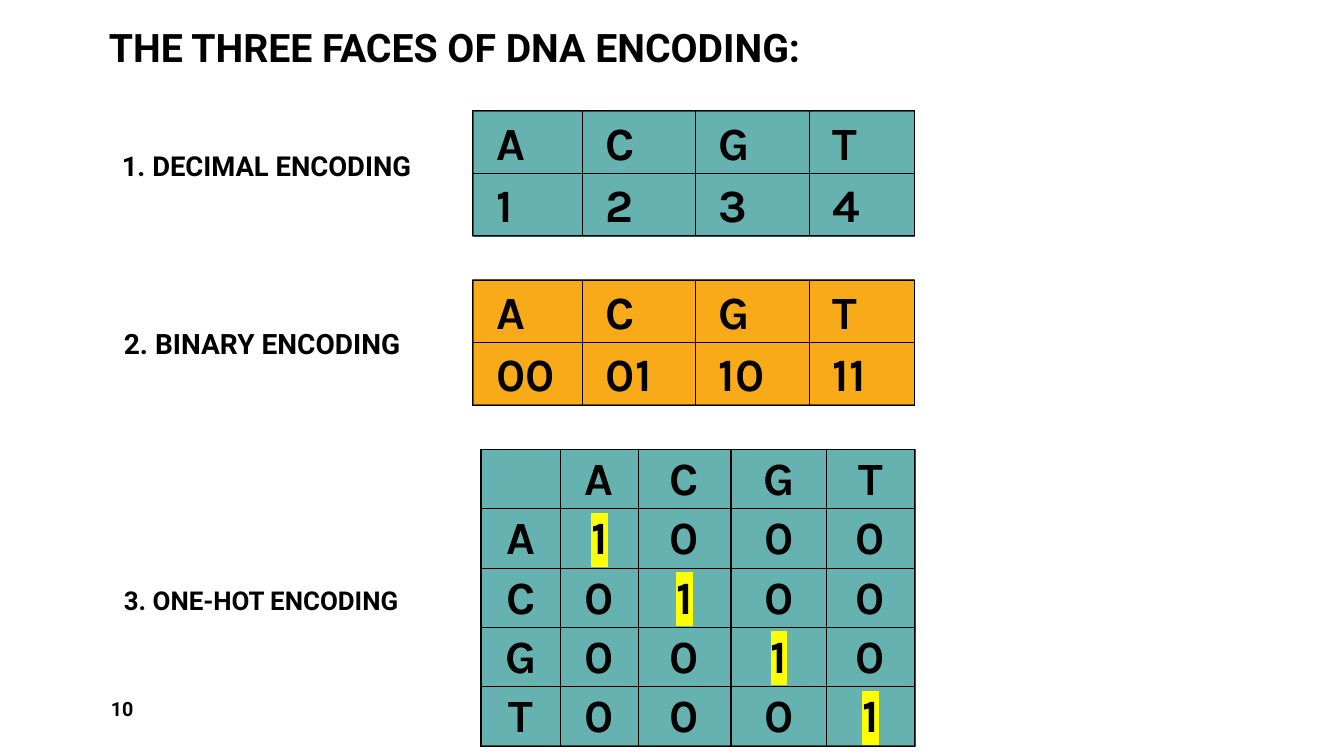
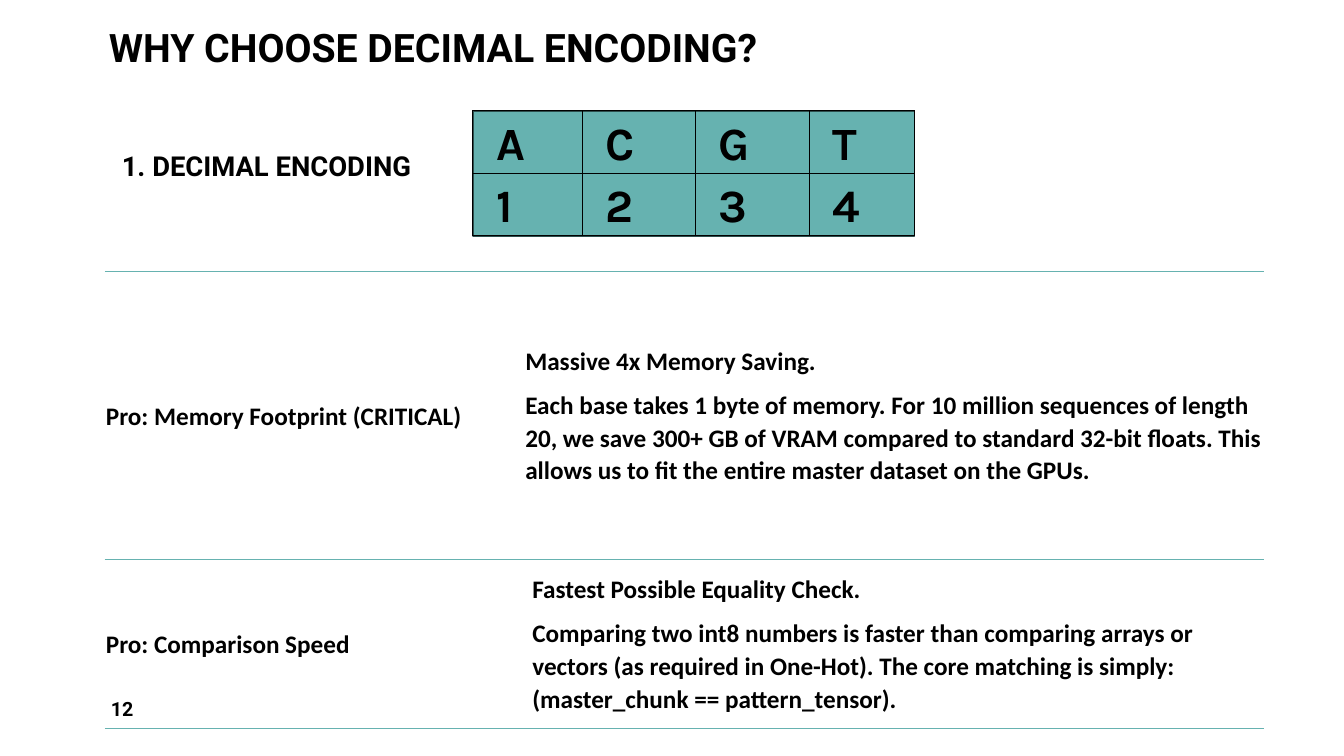
"""Build two slides about numeric encodings of DNA bases."""
from dataclasses import dataclass
from typing import Optional

import lxml.etree
import pptx
import pptx.dml.color
import pptx.enum.shapes
import pptx.enum.text
import pptx.oxml.ns
import pptx.presentation
import pptx.shapes.autoshape
import pptx.slide
import pptx.table
import pptx.text.text
import pptx.util

Inches = pptx.util.Inches
Pt = pptx.util.Pt
Align = pptx.enum.text.PP_ALIGN
Anchor = pptx.enum.text.MSO_ANCHOR

BLACK = "000000"
TEAL, TEAL_EDGE = "66B2B0", "2D4E4D"
ORANGE, ORANGE_EDGE = "F9AA19", "6D4B0B"
YELLOW = "FFFF00"
BASES = ["A", "C", "G", "T"]


@dataclass(frozen=True)
class Box:
    """A rectangle in inches."""
    left: float
    top: float
    width: float
    height: float

    def lengths(self) -> tuple[int, ...]:
        """Return left, top, width and height as lengths."""
        return tuple(Inches(n) for n in (self.left, self.top, self.width, self.height))


@dataclass(frozen=True)
class TextStyle:
    """Font and paragraph settings."""
    font: str
    size: float
    line_spacing: float = 1.0
    space_after: float = 0
    align: Align = Align.LEFT


@dataclass(frozen=True)
class TableStyle:
    """Cell settings: margins run left, top, right, bottom and borders L, R, T, B."""
    text: TextStyle
    margins: tuple[float, ...]
    borders: tuple[Optional[str], ...]
    anchor: Anchor = Anchor.TOP


@dataclass(frozen=True)
class Label:
    """The name of an encoding and where it stands."""
    text: str
    left: float
    top: float
    style: TextStyle


@dataclass(frozen=True)
class CodeTable:
    """A bordered table of codes on a coloured panel."""
    box: Box
    columns: list[float]
    row_height: float
    rows: list[list[str]]
    style: TableStyle
    fill: str = TEAL
    edge: str = TEAL_EDGE
    marked: str = ""


@dataclass(frozen=True)
class Reason:
    """An advantage and its explanation."""
    box: Box
    name_width: float
    name: str
    explanation: str


TITLE_BOX = Box(0.98, 0.07, 11.38, 0.68)
NUMBER_BOX = Box(1, 6.83, 2.92, 0.4)
TITLE_STYLE = TextStyle("Roboto", 28, 0.9)
NUMBER_STYLE = TextStyle("Roboto", 14, space_after=6)
GRID = (BLACK,) * 4
CODE_STYLE = TableStyle(TextStyle("Karla", 33, 1.07), (0.23, 0.03, 0.23, 0), GRID)
ONE_HOT_STYLE = TableStyle(
    TextStyle("Karla", 33, 1.07, align=Align.CENTER), (0.07, 0, 0.07, 0), GRID)
REASON_STYLE = TableStyle(
    TextStyle("Calibri", 18, 1.07, 8), (0.01,) * 4, (None, None, TEAL, TEAL), Anchor.MIDDLE)

CODE_COLUMNS = [1.09, 1.12, 1.13, 1.04]
DECIMAL_LABEL = Label("1. DECIMAL ENCODING", 1.11, 1.49, TextStyle("Roboto", 19.6, 0.8, 12))
BINARY_LABEL = Label("2. BINARY ENCODING", 1.13, 3.25, TextStyle("Roboto", 20, 0.8, 12))
ONE_HOT_LABEL = Label("3. ONE-HOT ENCODING", 1.13, 5.75, TextStyle("Roboto", 18.5, 1, 12))

DECIMAL_TABLE = CodeTable(
    Box(4.69, 1.1, 4.38, 1.24), CODE_COLUMNS, 0.52,
    [BASES, [str(n) for n in range(1, 5)]], CODE_STYLE)
BINARY_TABLE = CodeTable(
    Box(4.69, 2.78, 4.38, 1.24), CODE_COLUMNS, 0.62,
    [BASES, [f"{n:02b}" for n in range(4)]], CODE_STYLE, ORANGE, ORANGE_EDGE)
ONE_HOT_TABLE = CodeTable(
    Box(4.77, 4.46, 4.31, 2.94), [0.79, 0.77, 0.92, 0.95, 0.87], 0.53,
    [["", *BASES]] + [[row, *(str(int(row == base)) for base in BASES)] for row in BASES],
    ONE_HOT_STYLE, marked="1")

REASONS = [
    Reason(
        Box(1.04, 2.69, 11.5, 2.86), 4.16, "Pro: Memory Footprint (CRITICAL)",
        "Massive 4x Memory Saving.\n"
        "Each base takes 1 byte of memory. For 10 million sequences of length 20, "
        "we save 300+ GB of VRAM compared to standard 32-bit floats. "
        "This allows us to fit the entire master dataset on the GPUs."),
    Reason(
        Box(1.04, 5.55, 11.5, 1.68), 4.23, "Pro: Comparison Speed",
        "Fastest Possible Equality Check.\n"
        "Comparing two int8 numbers is faster than comparing arrays or vectors "
        "(as required in One-Hot). The core matching is simply: "
        "(master_chunk == pattern_tensor)."),
]


def rgb(color: str) -> pptx.dml.color.RGBColor:
    """Turn a hex string into a colour."""
    return pptx.dml.color.RGBColor.from_string(color)


def add_color(parent: lxml.etree._Element, tag: str, color: str) -> None:
    """Append an element that holds one colour."""
    holder = lxml.etree.SubElement(parent, pptx.oxml.ns.qn(tag))
    lxml.etree.SubElement(holder, pptx.oxml.ns.qn("a:srgbClr"), val=color)


def write_text(frame: pptx.text.text.TextFrame, text: str, style: TextStyle) -> None:
    """Fill a text frame and format its paragraphs."""
    frame.text = text
    for paragraph in frame.paragraphs:
        paragraph.alignment = style.align
        paragraph.line_spacing = style.line_spacing
        paragraph.space_before = Pt(0)
        paragraph.space_after = Pt(style.space_after)
        paragraph.font.name = style.font
        paragraph.font.size = Pt(style.size)
        paragraph.font.bold = True
        paragraph.font.color.rgb = rgb(BLACK)


def add_text(slide: pptx.slide.Slide, box: Box, text: str, style: TextStyle,
             anchor: Anchor = Anchor.TOP) -> None:
    """Add a wrapping text box."""
    frame = slide.shapes.add_textbox(*box.lengths()).text_frame
    frame.word_wrap = True
    frame.vertical_anchor = anchor
    write_text(frame, text, style)


def add_label(slide: pptx.slide.Slide, label: Label) -> None:
    """Add the name of an encoding."""
    add_text(slide, Box(label.left, label.top, 3.44, 0.68), label.text, label.style)


def set_borders(cell: pptx.table._Cell, colors: tuple[Optional[str], ...]) -> None:
    """Draw or hide the four borders of a cell."""
    properties = cell._tc.get_or_add_tcPr()
    for index, (side, color) in enumerate(zip("LRTB", colors)):
        line = lxml.etree.Element(pptx.oxml.ns.qn(f"a:ln{side}"), w=str(Pt(1)))
        if color:
            add_color(line, "a:solidFill", color)
        else:
            lxml.etree.SubElement(line, pptx.oxml.ns.qn("a:noFill"))
        properties.insert(index, line)


def add_table(slide: pptx.slide.Slide, box: Box, columns: list[float], row_height: float,
              rows: list[list[str]], style: TableStyle, marked: str = "") -> None:
    """Add an unfilled table, highlighting the cells that hold the marked text."""
    table = slide.shapes.add_table(len(rows), len(columns), *box.lengths()).table
    table.first_row = table.horz_banding = False
    for column, width in zip(table.columns, columns):
        column.width = Inches(width)
    for row, texts in zip(table.rows, rows):
        row.height = Inches(row_height)
        for cell, text in zip(row.cells, texts):
            margins = [Inches(margin) for margin in style.margins]
            cell.margin_left, cell.margin_top, cell.margin_right, cell.margin_bottom = margins
            cell.vertical_anchor = style.anchor
            cell.fill.background()
            set_borders(cell, style.borders)
            write_text(cell.text_frame, text, style.text)
            if marked and text == marked:
                run = cell.text_frame.paragraphs[0].runs[0]
                add_color(run._r.get_or_add_rPr(), "a:highlight", YELLOW)


def add_code_table(slide: pptx.slide.Slide, code: CodeTable) -> None:
    """Add a coloured panel and the code table on it."""
    panel = slide.shapes.add_shape(
        pptx.enum.shapes.MSO_SHAPE.RECTANGLE, *code.box.lengths())
    panel.shadow.inherit = False
    panel.fill.solid()
    panel.fill.fore_color.rgb = rgb(code.fill)
    panel.line.color.rgb = rgb(code.edge)
    panel.line.width = Pt(1)
    add_table(slide, code.box, code.columns, code.row_height, code.rows, code.style, code.marked)


def add_reason(slide: pptx.slide.Slide, reason: Reason) -> None:
    """Add an advantage between two rules."""
    columns = [reason.name_width, reason.box.width - reason.name_width]
    add_table(slide, reason.box, columns, reason.box.height,
              [[reason.name, reason.explanation]], REASON_STYLE)


def add_slide(presentation: pptx.presentation.Presentation, title: str,
              number: int) -> pptx.slide.Slide:
    """Add a slide with its title, number and the decimal encoding."""
    slide = presentation.slides.add_slide(presentation.slide_layouts[5])
    shape = slide.shapes.title
    shape.left, shape.top, shape.width, shape.height = TITLE_BOX.lengths()
    shape.text_frame.vertical_anchor = Anchor.BOTTOM
    write_text(shape.text_frame, title, TITLE_STYLE)
    add_text(slide, NUMBER_BOX, str(number), NUMBER_STYLE, Anchor.MIDDLE)
    add_label(slide, DECIMAL_LABEL)
    add_code_table(slide, DECIMAL_TABLE)
    return slide


def main() -> None:
    """Build and save the presentation."""
    presentation = pptx.Presentation()
    presentation.slide_width = Inches(13.33)
    presentation.slide_height = Inches(7.5)

    faces = add_slide(presentation, "THE THREE FACES OF DNA ENCODING:", 10)
    for label, code in ((BINARY_LABEL, BINARY_TABLE), (ONE_HOT_LABEL, ONE_HOT_TABLE)):
        add_label(faces, label)
        add_code_table(faces, code)

    choice = add_slide(presentation, "WHY CHOOSE DECIMAL ENCODING?", 12)
    for reason in REASONS:
        add_reason(choice, reason)

    presentation.save("out.pptx")


if __name__ == "__main__":
    main()
